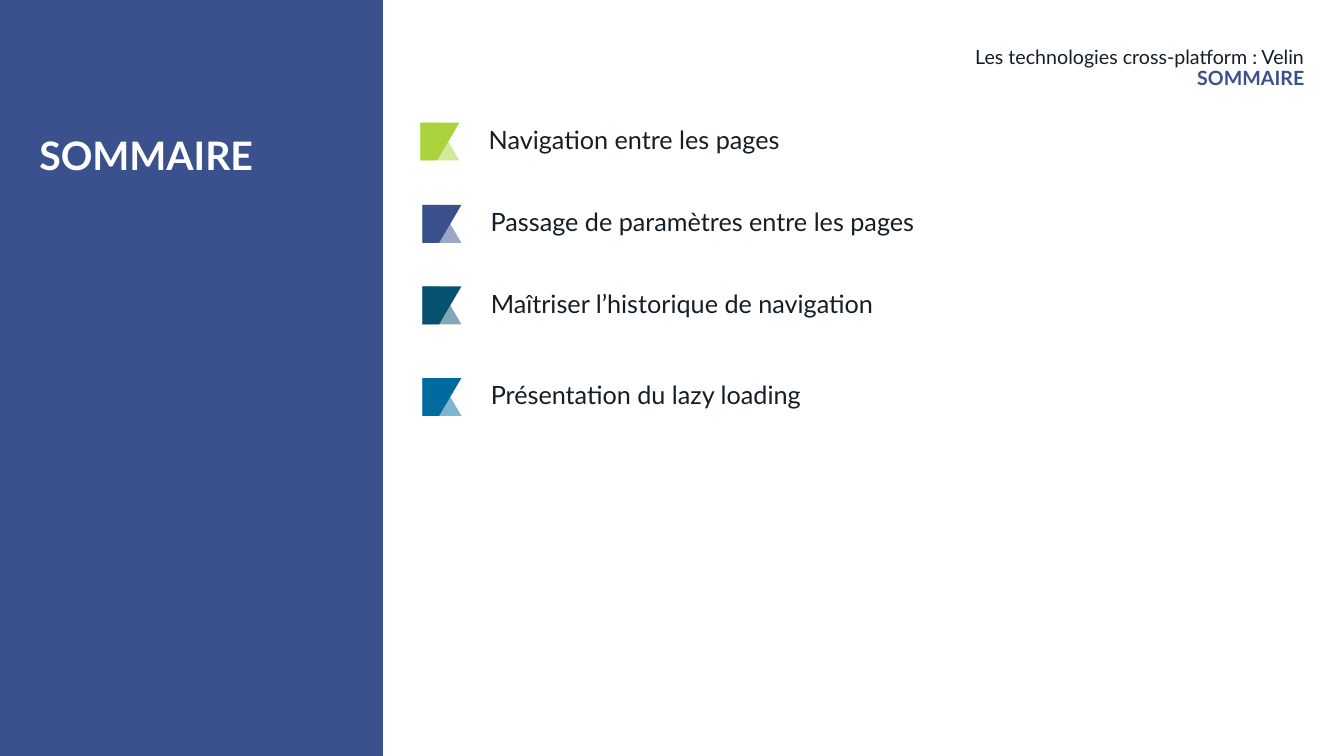
"""Build the summary slide of a course on cross-platform technologies."""
from dataclasses import dataclass

from lxml.etree import SubElement
from pptx import Presentation
from pptx.dml.color import RGBColor
from pptx.enum.shapes import MSO_SHAPE
from pptx.enum.text import MSO_AUTO_SIZE, PP_ALIGN
from pptx.oxml.ns import qn
from pptx.util import Emu, Inches, Pt

COLUMNS, ROWS = 160, 90
SLIDE_WIDTH, SLIDE_HEIGHT = Inches(13.33), Inches(7.5)


@dataclass(frozen=True)
class Theme:
    font: str = "Lato"
    ink: str = "141E26"
    accent: str = "3B518E"
    white: str = "FFFFFF"
    green: str = "AAD23B"
    petrol: str = "06516F"
    blue: str = "016B9F"
    title_size: int = 28
    topic_size: int = 18
    header_size: int = 14
    line_spacing: float = 0.9
    facet_opacity: int = 50


@dataclass(frozen=True)
class Area:
    column: float
    row: float
    columns: float
    rows: float

    def box(self) -> tuple[Emu, Emu, Emu, Emu]:
        return across(self.column), down(self.row), across(self.columns), down(self.rows)


@dataclass(frozen=True)
class Line:
    text: str
    size: int
    color: str
    bold: bool = False


@dataclass(frozen=True)
class Topic:
    text: str
    color: str
    column: float
    row: float
    text_columns: float


THEME = Theme()
PANEL = Area(0, 0, 45.6, ROWS)
TITLE = Area(4.68, 16.32, 37.44, 58.08)
HEADER = Area(50.16, 5.64, 105.12, 5.76)
MARKER_COLUMNS, MARKER_ROWS = 4.65, 4.5
MARKER_CUT = 0.43
TEXT_OFFSET, TEXT_ROWS = 6.96, 4.44
TOPICS = (
    Topic("Navigation entre les pages", THEME.green, 50.04, 14.6, 86.64),
    Topic("Passage de paramètres entre les pages", THEME.accent, 50.28, 24.4, 86.64),
    Topic("Maîtriser l’historique de navigation", THEME.petrol, 50.28, 34.1, 82.08),
    Topic("Présentation du lazy loading", THEME.blue, 50.28, 45, 82.08),
)


def across(columns: float) -> Emu:
    """Convert grid columns to a length."""
    return Emu(round(SLIDE_WIDTH * columns / COLUMNS))


def down(rows: float) -> Emu:
    """Convert grid rows to a length."""
    return Emu(round(SLIDE_HEIGHT * rows / ROWS))


def paint(shape, color: str) -> None:
    """Give a shape a flat fill with no outline or shadow."""
    shape.shadow.inherit = False
    shape.fill.solid()
    shape.fill.fore_color.rgb = RGBColor.from_string(color)
    shape.line.fill.background()


def add_text(slide, area: Area, lines: tuple[Line, ...],
             alignment: PP_ALIGN = PP_ALIGN.LEFT, fitted: bool = False) -> None:
    """Add a text box, either fitted with default insets or fixed without insets."""
    frame = slide.shapes.add_textbox(*area.box()).text_frame
    frame.word_wrap = True
    if fitted:
        frame.auto_size = MSO_AUTO_SIZE.SHAPE_TO_FIT_TEXT
    else:
        frame.margin_left = frame.margin_top = frame.margin_right = frame.margin_bottom = 0
    for index, line in enumerate(lines):
        paragraph = frame.add_paragraph() if index else frame.paragraphs[0]
        paragraph.alignment = alignment
        paragraph.line_spacing = THEME.line_spacing
        run = paragraph.add_run()
        run.text = line.text
        run.font.name = THEME.font
        run.font.size = Pt(line.size)
        run.font.bold = line.bold
        run.font.color.rgb = RGBColor.from_string(line.color)


def add_facet(shapes, topic: Topic, wide_row: float, narrow_row: float):
    """Draw one slanted half of a marker between its wide and narrow edges."""
    left, right = across(topic.column), across(topic.column + MARKER_COLUMNS)
    cut = across(topic.column + MARKER_COLUMNS * MARKER_CUT)
    wide, narrow = down(wide_row), down(narrow_row)
    builder = shapes.build_freeform(left, wide)
    builder.add_line_segments([(right, wide), (cut, narrow), (left, narrow)], close=True)
    facet = builder.convert_to_shape()
    paint(facet, topic.color)
    return facet


def add_topic(slide, topic: Topic) -> None:
    """Add a two-facet marker and its label."""
    marker = slide.shapes.add_group_shape()
    top, bottom = topic.row, topic.row + MARKER_ROWS
    pale_facet = add_facet(marker.shapes, topic, bottom, top)
    color = pale_facet.fill._xPr.find(qn("a:solidFill"))[0]
    SubElement(color, qn("a:alpha")).set("val", str(THEME.facet_opacity * 1000))
    add_facet(marker.shapes, topic, top, bottom)
    area = Area(topic.column + TEXT_OFFSET, topic.row, topic.text_columns, TEXT_ROWS)
    add_text(slide, area, (Line(topic.text, THEME.topic_size, THEME.ink),), fitted=True)


def main() -> None:
    """Compose and save the slide."""
    presentation = Presentation()
    presentation.slide_width, presentation.slide_height = SLIDE_WIDTH, SLIDE_HEIGHT
    slide = presentation.slides.add_slide(presentation.slide_layouts[6])
    panel = slide.shapes.add_shape(MSO_SHAPE.RECTANGLE, *PANEL.box())
    paint(panel, THEME.accent)
    add_text(slide, TITLE, (Line("SOMMAIRE", THEME.title_size, THEME.white, True),))
    add_text(slide, HEADER, (
        Line("Les technologies cross-platform : Velin", THEME.header_size, THEME.ink),
        Line("SOMMAIRE", THEME.header_size, THEME.accent, True),
    ), PP_ALIGN.RIGHT)
    for topic in TOPICS:
        add_topic(slide, topic)
    presentation.save("out.pptx")


if __name__ == "__main__":
    main()
